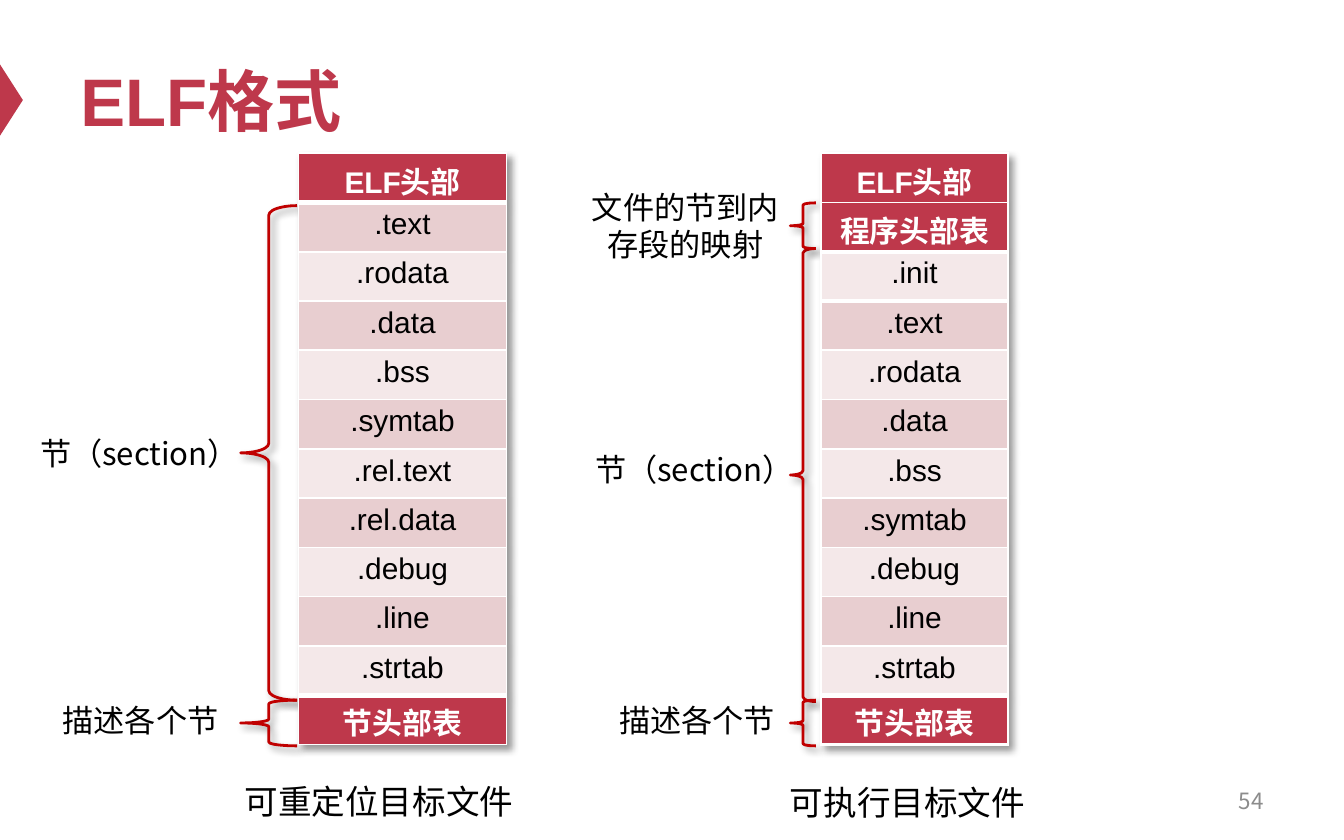
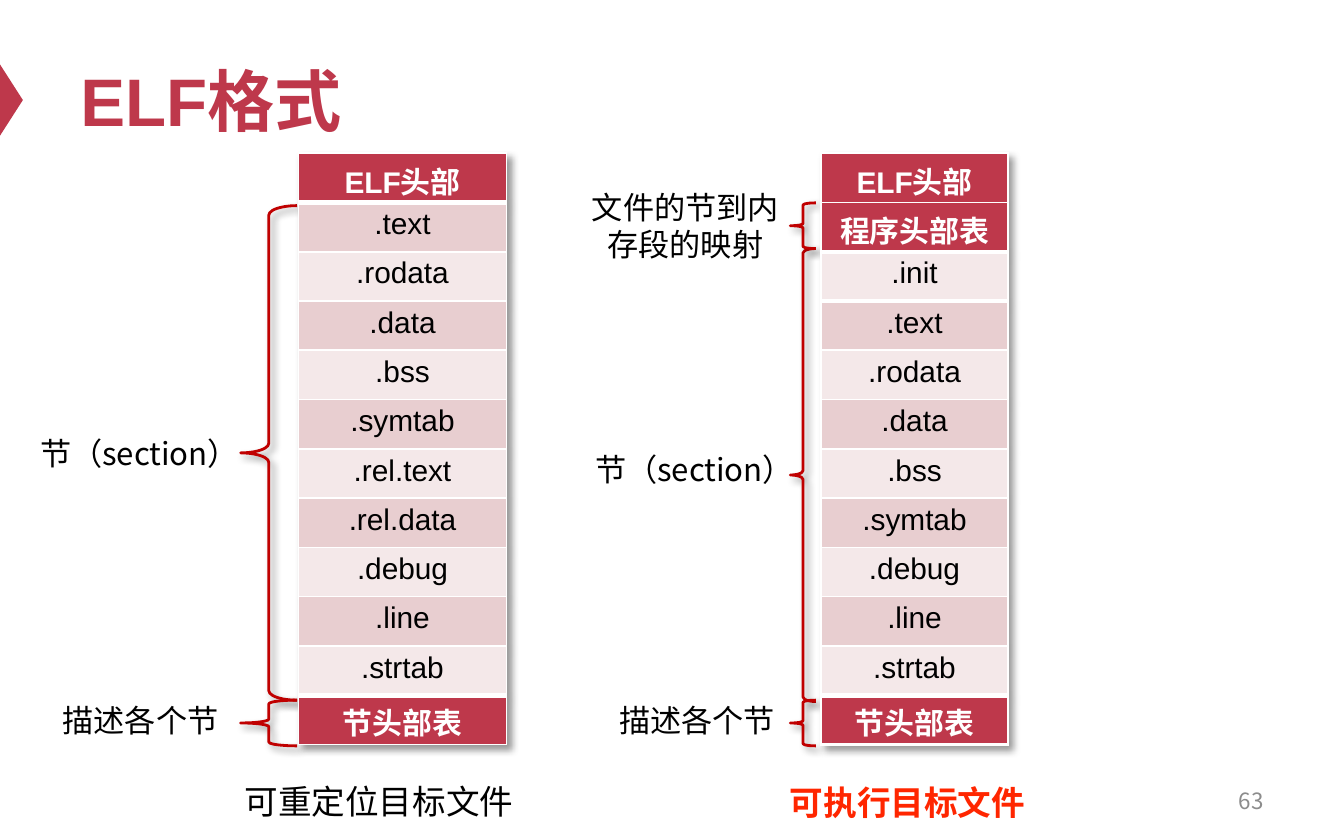
import dataclasses

import lxml.etree
import pptx
import pptx.dml.color
import pptx.enum.shapes
import pptx.enum.text
import pptx.oxml.ns
import pptx.slide
import pptx.util

Inches = pptx.util.Inches
Pt = pptx.util.Pt
RGBColor = pptx.dml.color.RGBColor
Align = pptx.enum.text.PP_ALIGN
Anchor = pptx.enum.text.MSO_ANCHOR
Preset = pptx.enum.shapes.MSO_SHAPE
qn = pptx.oxml.ns.qn

CRIMSON = RGBColor(0xBE, 0x38, 0x4B)
ROSE = RGBColor(0xE8, 0xCE, 0xD0)
BLUSH = RGBColor(0xF4, 0xE8, 0xE9)
BRACE_RED = RGBColor(0xC0, 0x00, 0x00)
ALERT_RED = RGBColor(0xFF, 0x26, 0x00)
GRAY = RGBColor(0x8C, 0x8C, 0x8C)
BLACK = RGBColor(0x00, 0x00, 0x00)
WHITE = RGBColor(0xFF, 0xFF, 0xFF)

LATIN_FONT = "Arial"
CJK_FONT = "Noto Sans CJK SC"
NO_STYLE = "{2D5ABB26-0587-4C30-8999-92F81FD0307C}"
TABLE_TOP = 1.14
TABLE_HEIGHT = 4.4


@dataclasses.dataclass(frozen=True)
class Label:
    """A text box with one paragraph."""

    text: str
    left: float
    top: float
    width: float
    height: float
    size: float = 16.7
    font: str = CJK_FONT
    color: RGBColor = BLACK
    bold: bool = False
    align: Align = Align.LEFT
    anchor: Anchor = Anchor.TOP
    wrap: bool = False
    grow: bool = True


@dataclasses.dataclass(frozen=True)
class Brace:
    """A left brace spanning some table rows."""

    left: float
    top: float
    width: float
    height: float
    curve: float = 0.083


@dataclasses.dataclass(frozen=True)
class FileLayout:
    """A one-column table of the headers and sections of an ELF file."""

    left: float
    width: float
    entries: tuple[str, ...]
    thick_edges: dict[tuple[int, str], float]


@dataclasses.dataclass(frozen=True)
class Page:
    """What varies from slide to slide."""

    number: str
    executable_color: RGBColor
    executable_bold: bool


TITLE = Label("ELF格式", 0.5, 0.25, 9, 0.98, 36, LATIN_FONT, CRIMSON, True,
              anchor=Anchor.MIDDLE, wrap=True, grow=False)
PAGE_NUMBER = Label("", 7.17, 5.79, 2.33, 0.33, 12, color=GRAY, align=Align.RIGHT,
                    anchor=Anchor.MIDDLE, wrap=True, grow=False)
EXECUTABLE = Label("可执行目标文件", 5.78, 5.77, 1.97, 0.4, 18, LATIN_FONT)
LABELS = (
    Label("节（section）", 0.2, 3.18, 1.7, 0.38, wrap=True),
    Label("描述各个节", 0.35, 5.17, 1.39, 0.38, align=Align.CENTER),
    Label("节（section）", 4.33, 3.3, 1.7, 0.38, wrap=True),
    Label("描述各个节", 4.49, 5.17, 1.39, 0.38, align=Align.CENTER),
    Label("文件的节到内存段的映射", 4.25, 1.35, 1.7, 0.66, align=Align.CENTER, wrap=True),
    Label("可重定位目标文件", 1.72, 5.76, 2.22, 0.4, 18, LATIN_FONT),
)
BRACES = (
    Brace(1.79, 1.53, 0.42, 3.68, 0.169),
    Brace(1.79, 5.21, 0.42, 0.34),
    Brace(5.88, 1.85, 0.19, 3.37, 0.169),
    Brace(5.88, 5.21, 0.19, 0.34),
    Brace(5.88, 1.51, 0.19, 0.34),
)
LAYOUTS = (
    FileLayout(
        2.22, 1.55,
        ("ELF头部", ".text", ".rodata", ".data", ".bss", ".symtab", ".rel.text",
         ".rel.data", ".debug", ".line", ".strtab", "节头部表"),
        {(0, "B"): 3, (11, "T"): 3},
    ),
    FileLayout(
        6.11, 1.39,
        ("ELF头部", "程序头部表", ".init", ".text", ".rodata", ".data", ".bss",
         ".symtab", ".debug", ".line", ".strtab", "节头部表"),
        {(1, "B"): 2.25, (2, "T"): 2.25, (2, "B"): 2.25, (3, "T"): 2.25,
         (11, "T"): 3, (11, "B"): 2.25},
    ),
)
PAGES = (Page("54", BLACK, False), Page("63", ALERT_RED, True))


def style_para(para, size: float, font: str, color: RGBColor, bold: bool, align: Align) -> None:
    """Set the font and alignment of a paragraph."""
    para.alignment = align
    para.font.size = Pt(size)
    para.font.name = font
    para.font.bold = bold
    para.font.color.rgb = color


def add_shadow(effects) -> None:
    """Put a soft shadow to the lower right in an effect list."""
    shadow = lxml.etree.SubElement(
        effects, qn("a:outerShdw"), blurRad=str(Pt(4)), dist=str(Pt(3)),
        dir="2700000", algn="tl", rotWithShape="0")
    color = lxml.etree.SubElement(shadow, qn("a:srgbClr"), val=str(BLACK))
    lxml.etree.SubElement(color, qn("a:alpha"), val="40000")


def add_label(slide: pptx.slide.Slide, label: Label) -> None:
    """Draw a text box."""
    box = slide.shapes.add_textbox(
        Inches(label.left), Inches(label.top), Inches(label.width), Inches(label.height))
    frame = box.text_frame
    frame.word_wrap = label.wrap
    frame.vertical_anchor = label.anchor
    if label.grow:
        frame.auto_size = pptx.enum.text.MSO_AUTO_SIZE.SHAPE_TO_FIT_TEXT
    frame.text = label.text
    style_para(frame.paragraphs[0], label.size, label.font, label.color, label.bold, label.align)


def add_brace(slide: pptx.slide.Slide, brace: Brace) -> None:
    """Draw a red brace with a shadow."""
    shape = slide.shapes.add_shape(
        Preset.LEFT_BRACE, Inches(brace.left), Inches(brace.top),
        Inches(brace.width), Inches(brace.height))
    shape.adjustments[0] = brace.curve
    shape.adjustments[1] = 0.5
    shape.fill.background()
    shape.line.color.rgb = BRACE_RED
    shape.line.width = Pt(1.5)
    shape.shadow.inherit = False
    add_shadow(shape.element.spPr.find(qn("a:effectLst")))


def add_border(cell_properties, side: str, width: float) -> None:
    """Draw a white line on one side of a cell."""
    line = lxml.etree.SubElement(cell_properties, qn(f"a:ln{side}"), w=str(Pt(width)))
    fill = lxml.etree.SubElement(line, qn("a:solidFill"))
    lxml.etree.SubElement(fill, qn("a:srgbClr"), val=str(WHITE))


def add_layout(slide: pptx.slide.Slide, layout: FileLayout) -> None:
    """Draw the table of a file, with headers in crimson and sections banded."""
    frame = slide.shapes.add_table(
        len(layout.entries), 1, Inches(layout.left), Inches(TABLE_TOP),
        Inches(layout.width), Inches(TABLE_HEIGHT))
    table = frame.table
    table.first_row = table.horz_banding = False
    style = next(frame.element.iter(qn("a:tableStyleId")))
    style.text = NO_STYLE
    effects = lxml.etree.Element(qn("a:effectLst"))
    style.addprevious(effects)
    add_shadow(effects)
    cell_properties = list(frame.element.iter(qn("a:tcPr")))
    for index, entry in enumerate(layout.entries):
        cell = table.cell(index, 0)
        cell.margin_top = Inches(0.04)
        cell.margin_bottom = 0
        for side in "LRTB":
            add_border(cell_properties[index], side, layout.thick_edges.get((index, side), 1))
        is_header = not entry.startswith(".")
        cell.fill.solid()
        cell.fill.fore_color.rgb = CRIMSON if is_header else (BLUSH, ROSE)[index % 2]
        cell.text = entry
        style_para(cell.text_frame.paragraphs[0], 16, LATIN_FONT,
                   WHITE if is_header else BLACK, is_header, Align.CENTER)


def add_title_marker(slide: pptx.slide.Slide) -> None:
    """Draw the triangle that points at the title."""
    marker = slide.shapes.add_shape(
        Preset.ISOSCELES_TRIANGLE, Inches(-0.18), Inches(0.66), Inches(0.53), Inches(0.17))
    marker.rotation = 90
    marker.fill.solid()
    marker.fill.fore_color.rgb = CRIMSON
    marker.line.fill.background()
    marker.shadow.inherit = False


def add_page(deck, page: Page) -> None:
    """Add one slide comparing the two file layouts."""
    slide = deck.slides.add_slide(deck.slide_layouts[6])
    add_title_marker(slide)
    add_label(slide, TITLE)
    add_label(slide, dataclasses.replace(PAGE_NUMBER, text=page.number))
    for brace in BRACES:
        add_brace(slide, brace)
    for layout in LAYOUTS:
        add_layout(slide, layout)
    for label in LABELS:
        add_label(slide, label)
    add_label(slide, dataclasses.replace(
        EXECUTABLE, color=page.executable_color, bold=page.executable_bold))


def main() -> None:
    """Build the deck and save it."""
    deck = pptx.Presentation()
    deck.slide_width = Inches(10)
    deck.slide_height = Inches(6.25)
    for page in PAGES:
        add_page(deck, page)
    deck.save("out.pptx")


if __name__ == "__main__":
    main()
